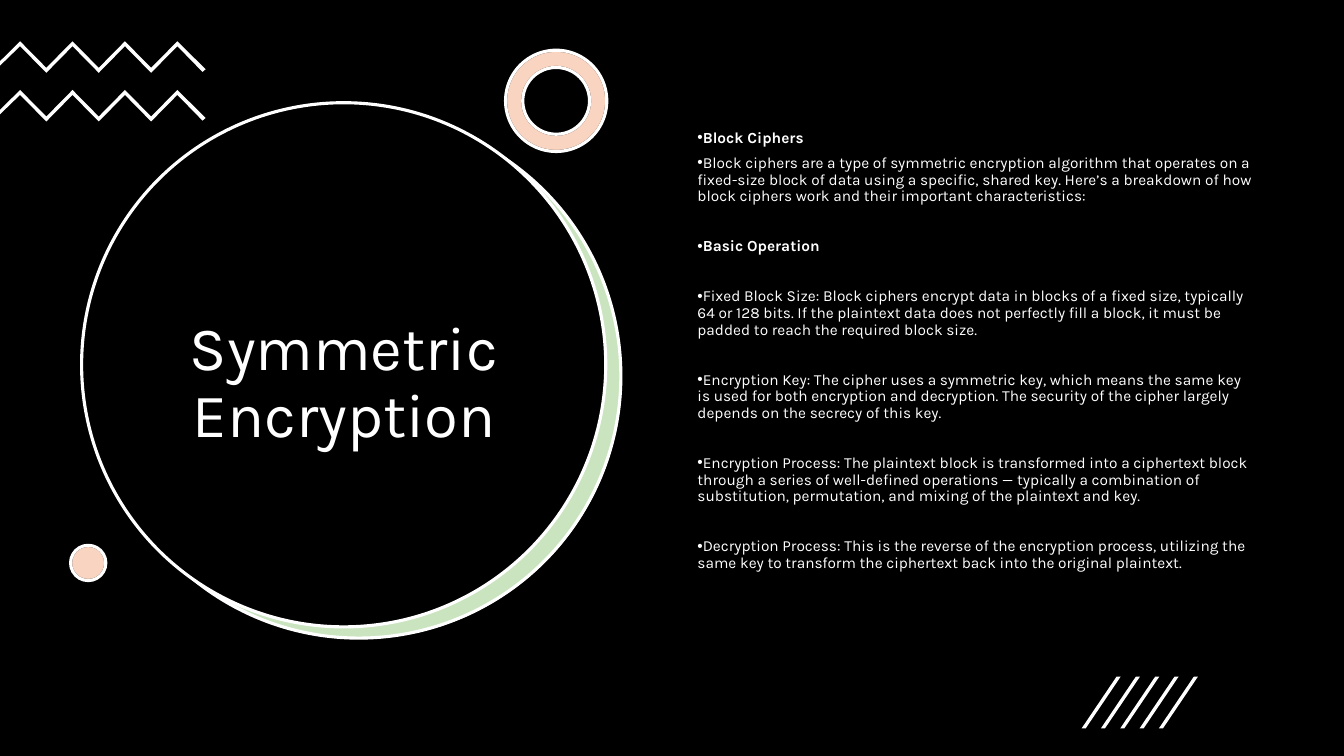
from lxml import etree
from pptx import Presentation
from pptx import util as u
from pptx.dml.color import RGBColor
from pptx.enum import shapes, text
from pptx.oxml.ns import qn

# Content: (text, bold, space after in points)
TITLE = "Symmetric Encryption"
TIGHT, WIDE = 6, 23.9
BODY = [
    ("Block Ciphers", True, TIGHT),
    ("Block ciphers are a type of symmetric encryption algorithm that operates on a "
     "fixed-size block of data using a specific, shared key. Here’s a breakdown of how "
     "block ciphers work and their important characteristics:", False, WIDE),
    ("Basic Operation", True, WIDE),
    ("Fixed Block Size: Block ciphers encrypt data in blocks of a fixed size, typically "
     "64 or 128 bits. If the plaintext data does not perfectly fill a block, it must be "
     "padded to reach the required block size.", False, WIDE),
    ("Encryption Key: The cipher uses a symmetric key, which means the same key is used "
     "for both encryption and decryption. The security of the cipher largely depends on "
     "the secrecy of this key.", False, WIDE),
    ("Encryption Process: The plaintext block is transformed into a ciphertext block "
     "through a series of well-defined operations — typically a combination of "
     "substitution, permutation, and mixing of the plaintext and key.", False, WIDE),
    ("Decryption Process: This is the reverse of the encryption process, utilizing the "
     "same key to transform the ciphertext back into the original plaintext.", False, TIGHT),
]
THEME = dict(font="Karla", title=44, body=11, line=2.25, tint=30,
             black="000000", white="FFFFFF", green="4EA72E", orange="E97132")
WIDTH, HEIGHT = 960, 540

prs = Presentation()
prs.slide_width, prs.slide_height = u.Pt(WIDTH), u.Pt(HEIGHT)
s = prs.slides.add_slide(prs.slide_layouts[1])


def paint(sp, fill, line=None, opacity=None):
    sp.shadow.inherit = False
    sp.fill.solid()
    sp.fill.fore_color.rgb = RGBColor.from_string(THEME[fill])
    if opacity:
        color = sp._element.spPr.find(qn("a:solidFill"))[0]
        etree.SubElement(color, qn("a:alpha"), val=str(opacity * 1000))
    if line:
        sp.line.color.rgb = RGBColor.from_string(THEME[line])
        sp.line.width = u.Pt(THEME["line"])
    else:
        sp.line.fill.background()


def add_shape(kind, x, y, w, h, fill, line=None, opacity=None):
    sp = s.shapes.add_shape(kind, u.Pt(x), u.Pt(y), u.Pt(w), u.Pt(h))
    paint(sp, fill, line, opacity)
    return sp


def add_outline(points):
    pts = [(u.Pt(x), u.Pt(y)) for x, y in points]
    builder = s.shapes.build_freeform(*pts[0], scale=1.0)
    builder.add_line_segments(pts[1:], close=True)
    paint(builder.convert_to_shape(), "white")


def write_text(p, content, size, bold=False, align=text.PP_ALIGN.LEFT, after=TIGHT, bullet=None):
    p.alignment, p.line_spacing = align, 0.9
    p.space_before, p.space_after = u.Pt(0), u.Pt(after)
    if bullet:
        pPr = p._p.get_or_add_pPr()
        pPr.set("marL", "0")
        pPr.set("indent", str(-u.Pt(18)))
        etree.SubElement(pPr, qn("a:buFont"), typeface="Arial")
        etree.SubElement(pPr, qn("a:buChar"), char=bullet)
    r = p.add_run()
    r.text = content
    r.font.name, r.font.size, r.font.bold = THEME["font"], u.Pt(size), bold
    r.font.color.rgb = RGBColor.from_string(THEME["white"])


def place(holder, x, y, w, h, anchor):
    holder.left, holder.top, holder.width, holder.height = map(u.Pt, (x, y, w, h))
    tf = holder.text_frame
    tf.word_wrap, tf.auto_size = True, text.MSO_AUTO_SIZE.NONE
    tf.vertical_anchor = anchor
    s.shapes._spTree.append(holder._element)  # in front of the decoration
    return tf


# Background and large circle with its green crescent
OVAL, DONUT = shapes.MSO_SHAPE.OVAL, shapes.MSO_SHAPE.DONUT
add_shape(shapes.MSO_SHAPE.RECTANGLE, 0, 0, WIDTH, HEIGHT, "black")
DISC = 374.4
add_shape(OVAL, 69.8, 82, DISC, DISC, "white")
add_shape(OVAL, 69.1, 81.4, DISC, DISC, "green", "white", THEME["tint"])
add_shape(OVAL, 58.3, 73.4, DISC, DISC, "black", "white")

# Title
tf = place(s.shapes.title, 87.1, 147.6, 317.5, 253.4, text.MSO_ANCHOR.MIDDLE)
write_text(tf.paragraphs[0], TITLE, THEME["title"], align=text.PP_ALIGN.CENTER)

# Zigzags running in from the left edge
STEP, RISE, BAND = 18.72, 19, 3.5
for top in (29.5, 64.3):
    ridge = [(14.4 + STEP * i, top + RISE * (i % 2)) for i in range(7)]
    under = [(x, y + BAND) for x, y in reversed(ridge)]
    tail = [(146.9, top + 20), (144.7, top + 21.9)]
    add_outline(ridge + tail + under + [(0, top + 17.4), (0, top + 14.3)])

# Ring and dot: a white base under an orange tint
for kind, x, y, size in ((DONUT, 361.1, 35.9, 72.3), (OVAL, 50.4, 389.5, 25.2)):
    for fill, line, opacity in (("white", "black", None), ("orange", "white", THEME["tint"])):
        sp = add_shape(kind, x, y, size, size, fill, line, opacity)
        if kind == DONUT:
            sp.adjustments[0] = 0.17

# Bulleted text
tf = place(s.placeholders[1], 491, 89.3, 411.1, 342.7, text.MSO_ANCHOR.TOP)
for i, (content, bold, after) in enumerate(BODY):
    p = tf.add_paragraph() if i else tf.paragraphs[0]
    write_text(p, content, THEME["body"], bold, after=after, bullet="•")

# Slanted strokes
for i in range(5):
    x = 772.6 + 13.8 * i
    add_outline([(x + 2.9, 520.3), (x, 520.3), (x + 25, 483.3), (x + 27.9, 483.3)])

prs.save("out.pptx")
